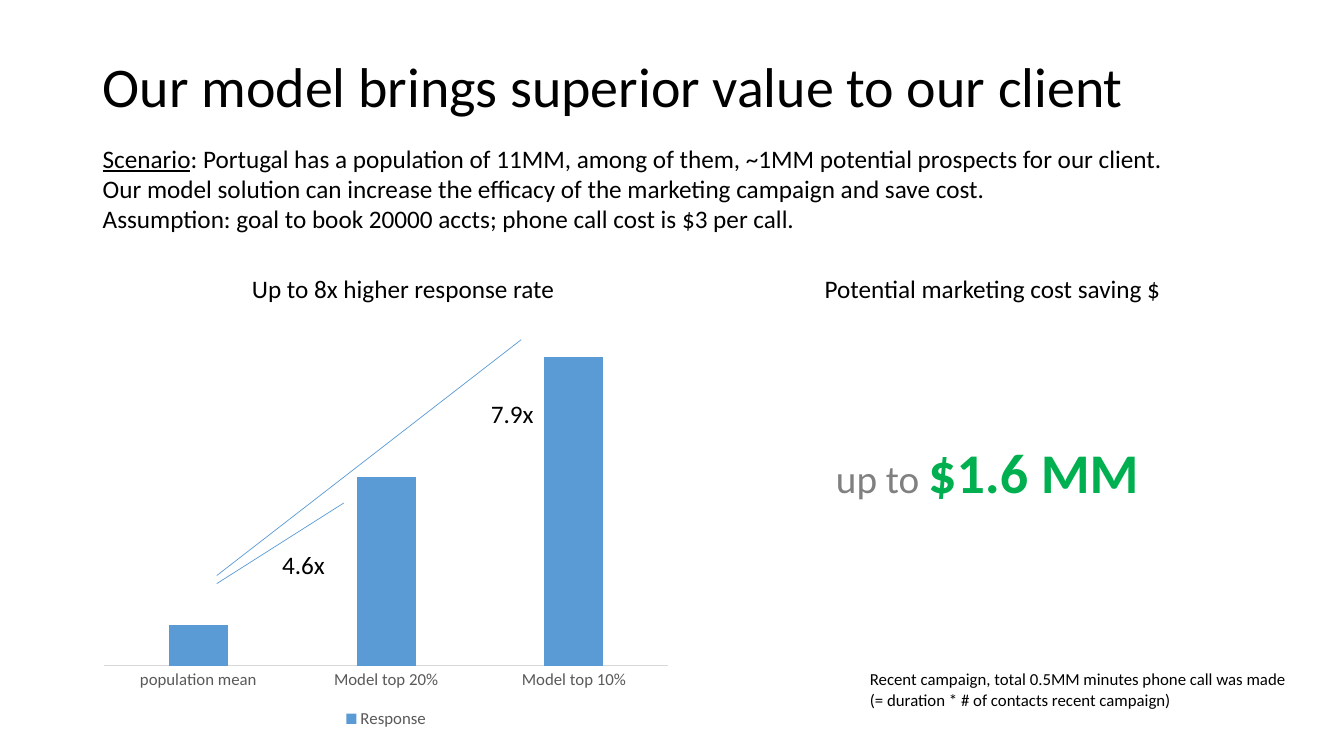
"""Build the slide on the value of the response model."""
from lxml import etree
from pptx import Presentation
from pptx.chart.data import CategoryChartData
from pptx.dml.color import RGBColor
from pptx.enum.chart import XL_CHART_TYPE, XL_LEGEND_POSITION, XL_TICK_MARK
from pptx.enum.shapes import MSO_CONNECTOR
from pptx.enum.text import MSO_ANCHOR, PP_ALIGN
from pptx.oxml.ns import qn
from pptx.util import Inches, Pt

COLUMN = XL_CHART_TYPE.COLUMN_CLUSTERED
LEGEND_BOTTOM = XL_LEGEND_POSITION.BOTTOM
NO_TICK = XL_TICK_MARK.NONE
STRAIGHT = MSO_CONNECTOR.STRAIGHT
MIDDLE = MSO_ANCHOR.MIDDLE
LEFT = PP_ALIGN.LEFT

BLACK = RGBColor(0x00, 0x00, 0x00)
DARK_GRAY = RGBColor(0x59, 0x59, 0x59)
GRAY = RGBColor(0x80, 0x80, 0x80)
LIGHT_GRAY = RGBColor(0xD9, 0xD9, 0xD9)
BLUE = RGBColor(0x5B, 0x9B, 0xD5)
GREEN = RGBColor(0x00, 0xB0, 0x50)
TITLE_ONLY = 5


class SlideBuilder:
    """Hold the style and the current slide."""

    font = "Calibri"

    def __init__(self, prs):
        self.s = prs.slides.add_slide(prs.slide_layouts[TITLE_ONLY])

    def set_font(self, font, size, color=BLACK):
        font.name = self.font
        font.size = Pt(size)
        font.color.rgb = color

    def title(self, text, box):
        sp = self.s.shapes.title
        sp.left, sp.top, sp.width, sp.height = map(Inches, box)
        tf = sp.text_frame
        tf.text = text
        tf.vertical_anchor = MIDDLE
        p = tf.paragraphs[0]
        p.alignment = LEFT
        p.line_spacing = 0.9
        self.set_font(p.font, 40)

    def text(self, lines, box, size=18, wrap=False):
        tf = self.s.shapes.add_textbox(*map(Inches, box)).text_frame
        tf.text = "\n".join(lines)
        tf.word_wrap = wrap
        for p in tf.paragraphs:
            self.set_font(p.font, size)
        return tf

    def runs(self, p, parts):
        for text, size, color, bold in parts:
            r = p.add_run()
            r.text = text
            self.set_font(r.font, size, color)
            r.font.bold = bold

    def line(self, start, end):
        cxn = self.s.shapes.add_connector(STRAIGHT, *map(Inches, start + end))
        cxn.line.color.rgb = BLUE
        cxn.line.width = Pt(0.5)
        etree.SubElement(cxn._element.spPr, qn("a:effectLst"))

    def chart(self, name, values, box):
        data = CategoryChartData()
        data.categories = list(values)
        data.add_series(name, values.values())
        chart = self.s.shapes.add_chart(COLUMN, *map(Inches, box), data).chart
        self.set_font(chart.font, 10)
        chart.has_title = False
        chart.has_legend = True
        chart.legend.position = LEGEND_BOTTOM
        chart.legend.include_in_layout = False
        self.set_font(chart.legend.font, 12, DARK_GRAY)

        axis = chart.category_axis
        axis.major_tick_mark = NO_TICK
        axis.format.line.color.rgb = LIGHT_GRAY
        axis.format.line.width = Pt(0.75)
        self.set_font(axis.tick_labels.font, 12, DARK_GRAY)

        axis = chart.value_axis
        axis.visible = False
        axis.has_major_gridlines = False
        axis.minimum_scale, axis.maximum_scale, axis.major_unit = 0, 105, 21

        plot = chart.plots[0]
        plot.gap_width, plot.overlap = 219, -27
        plot.vary_by_categories = False
        fill = plot.series[0].format.fill
        fill.solid()
        fill.fore_color.rgb = BLUE


def main():
    prs = Presentation()
    prs.slide_width, prs.slide_height = Inches(13.33), Inches(7.5)
    b = SlideBuilder(prs)

    b.title("Our model brings superior value to our client", (0.92, 0.4, 11.5, 0.97))
    responses = {"population mean": 13, "Model top 20%": 61, "Model top 10%": 100}
    b.chart("Response", responses, (0.92, 3.31, 5.82, 3.96))
    b.line((5.17, 3.37), (2.15, 5.71))
    b.line((3.41, 4.99), (2.15, 5.79))

    for label, box in (
        ("7.9x", (4.77, 3.9, 0.63, 0.4)),
        ("4.6x", (2.7, 5.4, 0.63, 0.4)),
        ("Up to 8x higher response rate", (2.4, 2.66, 3.24, 0.4)),
        ("Potential marketing cost saving $", (8.08, 2.66, 3.57, 0.4)),
    ):
        b.text([label], box)

    scenario = b.text(
        ["", "Assumption: goal to book 20000 accts; phone call cost is $3 per call."],
        (0.92, 1.37, 11.11, 1.01), wrap=True)
    p = scenario.paragraphs[0]
    b.runs(p, [
        ("Scenario", 18, BLACK, False),
        (": Portugal has a population of 11MM, among of them, ~1MM potential "
         "prospects for our client. Our model solution can increase the efficacy "
         "of the marketing campaign and save cost.", 18, BLACK, False),
    ])
    p.runs[0].font.underline = True

    saving = b.text([""], (8.08, 4.29, 3.35, 0.77), size=36)
    b.runs(saving.paragraphs[0], [
        (" ", 36, BLACK, False),
        ("up to ", 28, GRAY, False),
        ("$1.6 MM", 40, GREEN, True),
    ])

    b.text(["Recent campaign, total 0.5MM minutes phone call was made",
            "(= duration * # of contacts recent campaign)"],
           (8.53, 6.59, 4.37, 0.5), size=12)
    prs.save("out.pptx")


if __name__ == "__main__":
    main()
